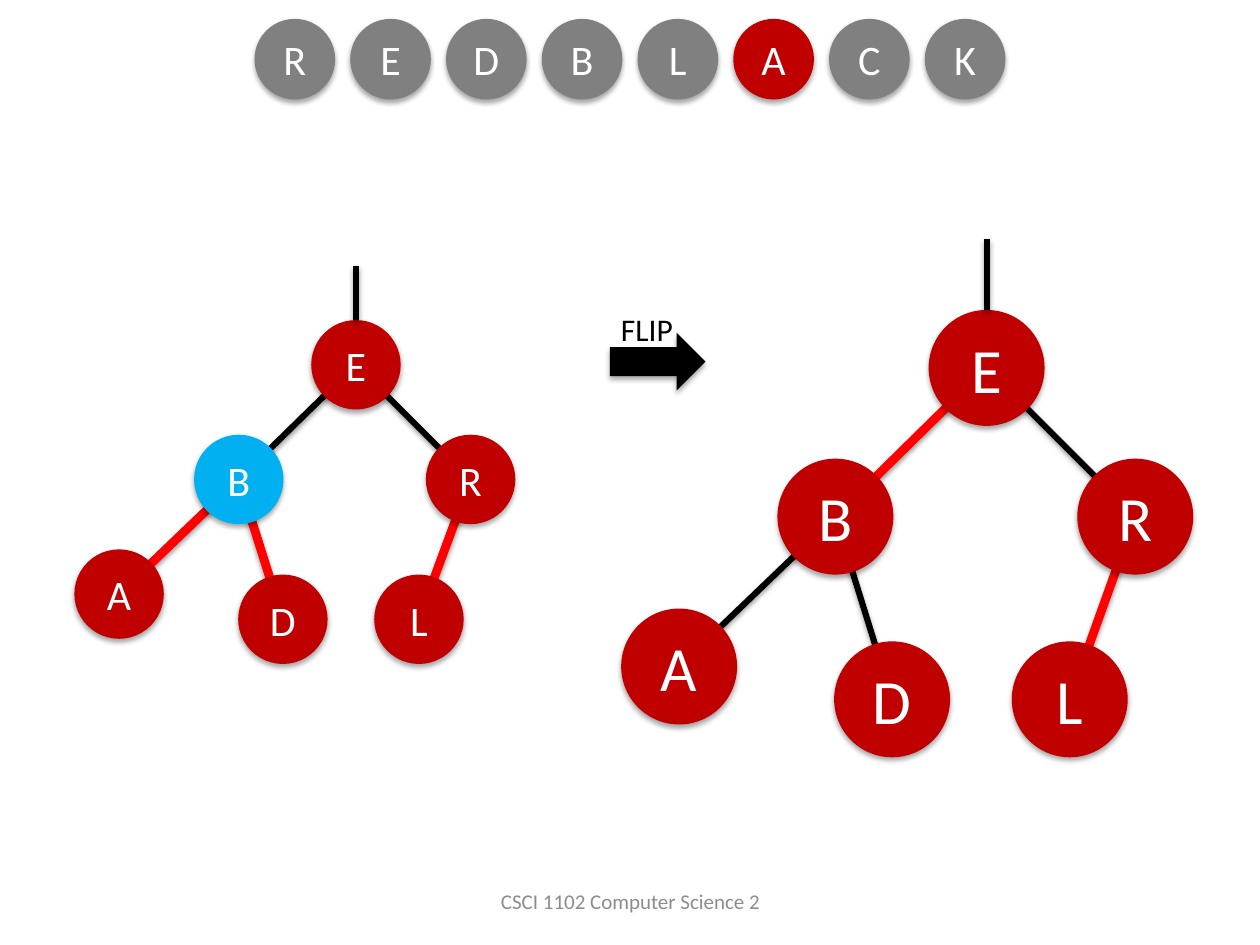
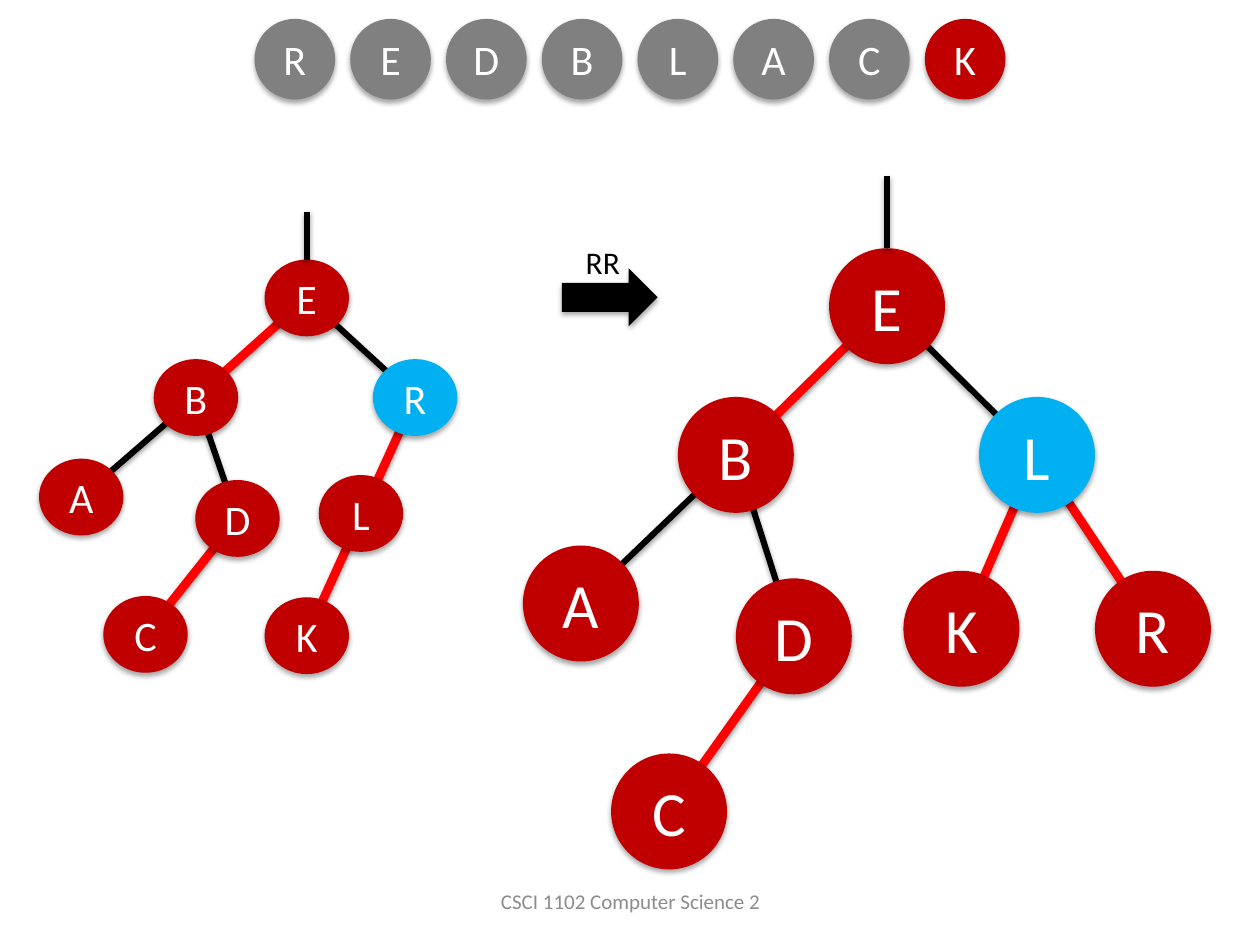
from lxml import etree
from pptx import Presentation
from pptx.dml.color import RGBColor
from pptx.enum.shapes import MSO_CONNECTOR, MSO_SHAPE
from pptx.enum.text import MSO_ANCHOR, MSO_AUTO_SIZE, PP_ALIGN
from pptx.oxml.ns import qn
from pptx.util import Inches, Pt

STRAIGHT = MSO_CONNECTOR.STRAIGHT
ELLIPSE, RIGHT_ARROW = MSO_SHAPE.OVAL, MSO_SHAPE.RIGHT_ARROW
MIDDLE, FIT_SHAPE = MSO_ANCHOR.MIDDLE, MSO_AUTO_SIZE.SHAPE_TO_FIT_TEXT
LEFT, CENTER = PP_ALIGN.LEFT, PP_ALIGN.CENTER
TOP_SITE = 0

FONT = "Calibri"
WHITE, BLACK, GRAY, FOOTER_GRAY = "FFFFFF", "000000", "808080", "8C8C8C"
NODE_RED, LINK_RED, BLUE = "C00000", "FF0000", "00B0F0"
LETTERS = "REDBLACK"

# Nodes give the left and top of each circle; links name parent and child.
SLIDES = [
    {
        "inserted": "A",
        "step": ("FLIP", (4.83, 2.41, 0.62, 0.4), (4.84, 2.64)),
        "trees": [
            {
                "nodes": {"A": (0.59, 4.36), "E": (2.47, 2.54), "B": (1.54, 3.45),
                          "R": (3.38, 3.45), "L": (2.97, 4.56), "D": (1.89, 4.56)},
                "red_links": ["BD", "RL", "BA"], "black_links": ["ER", "EB"],
                "size": (0.71, 0.71), "stem": 0.43, "font_size": 24, "active": "B",
            },
            {
                "nodes": {"A": (4.93, 4.83), "E": (7.37, 2.46), "B": (6.17, 3.64),
                          "R": (8.55, 3.64), "L": (8.03, 5.09), "D": (6.62, 5.09)},
                "red_links": ["RL", "EB"], "black_links": ["BD", "BA", "ER"],
                "size": (0.92, 0.92), "stem": 0.56, "font_size": 36, "active": None,
            },
        ],
    },
    {
        "inserted": "K",
        "step": ("RR", (4.55, 1.88, 0.48, 0.4), (4.46, 2.13)),
        "trees": [
            {
                "nodes": {"C": (4.85, 5.98), "R": (8.69, 4.53), "A": (4.15, 4.33),
                          "E": (6.58, 1.97), "B": (5.38, 3.15), "L": (7.77, 3.15),
                          "K": (7.17, 4.53), "D": (5.84, 4.59)},
                "red_links": ["LR", "LK", "DC", "EB"], "black_links": ["BD", "BA", "EL"],
                "size": (0.92, 0.92), "stem": 0.57, "font_size": 36, "active": "L",
            },
            {
                # The link from R to K runs behind L.
                "nodes": {"C": (0.82, 4.73), "K": (2.1, 4.74), "A": (0.31, 3.64),
                          "E": (2.1, 2.06), "B": (1.22, 2.85), "R": (2.96, 2.85),
                          "L": (2.53, 3.77), "D": (1.55, 3.81)},
                "red_links": ["RK", "DC", "EB"], "black_links": ["BD", "BA", "ER"],
                "size": (0.67, 0.61), "stem": 0.38, "font_size": 24, "active": "R",
            },
        ],
    },
]


def color(hex_string):
    return RGBColor.from_string(hex_string)


def write(shape, text, size, ink, align=CENTER):
    para = shape.text_frame.paragraphs[0]
    para.alignment = align
    span = para.add_run()
    span.text = text
    span.font.name, span.font.size = FONT, Pt(size)
    span.font.color.rgb = color(ink)


def add_shadow(shape, distance, opacity):
    """Replace the theme shadow by a soft one that falls straight down."""
    effects = etree.SubElement(shape._element.spPr, qn("a:effectLst"))
    shadow = etree.SubElement(effects, qn("a:outerShdw"), blurRad=str(Pt(3.1)),
                              dist=str(Pt(distance)), dir="5400000", rotWithShape="0")
    ink = etree.SubElement(shadow, qn("a:srgbClr"), val=BLACK)
    etree.SubElement(ink, qn("a:alpha"), val=str(opacity * 1000))


class TreeDeck:
    def __init__(self):
        self.deck = Presentation()
        self.deck.slide_width, self.deck.slide_height = Inches(10), Inches(7.5)
        self.page = None

    def new_page(self):
        self.page = self.deck.slides.add_slide(self.deck.slide_layouts[6])
        footer = self.text_box((3.42, 6.95, 3.17, 0.4), "CSCI 1102 Computer Science 2",
                               size=12, ink=FOOTER_GRAY)
        footer.text_frame.word_wrap = True
        footer.text_frame.vertical_anchor = MIDDLE

    def text_box(self, place, text, **style):
        box = self.page.shapes.add_textbox(*map(Inches, place))
        write(box, text, **style)
        return box

    def solid(self, shapes, kind, place, fill):
        shape = shapes.add_shape(kind, *map(Inches, place))
        shape.fill.solid()
        shape.fill.fore_color.rgb = color(fill)
        shape.line.fill.background()
        add_shadow(shape, 1.8, 35)
        return shape

    def node(self, shapes, letter, place, fill, size):
        circle = self.solid(shapes, ELLIPSE, place, fill)
        circle.text_frame.word_wrap = True
        circle.text_frame.vertical_anchor = MIDDLE
        write(circle, letter, size, WHITE)
        return circle

    def link(self, shapes, start, end, ink=BLACK, width=3.5):
        line = shapes.add_connector(STRAIGHT, *map(Inches, (*start, *end)))
        line.line.color.rgb = color(ink)
        line.line.width = Pt(width)
        add_shadow(line, 1.6, 38)
        return line

    def letter_row(self, inserted):
        shapes = self.page.shapes.add_group_shape().shapes
        for index, letter in enumerate(LETTERS):
            fill = NODE_RED if letter == inserted else GRAY
            self.node(shapes, letter, (2.02 + 0.76 * index, 0.15, 0.64, 0.64), fill, 24)

    def tree(self, nodes, red_links, black_links, size, stem, font_size, active):
        shapes = self.page.shapes.add_group_shape().shapes
        width, height = size
        centers = {letter: (left + width / 2, top + height / 2)
                   for letter, (left, top) in nodes.items()}
        for links, ink, weight in ((red_links, LINK_RED, 5), (black_links, BLACK, 3.5)):
            for parent, child in links:
                self.link(shapes, centers[parent], centers[child], ink, weight)
        circles = {}
        for letter, corner in nodes.items():
            fill = BLUE if letter == active else NODE_RED
            circles[letter] = self.node(shapes, letter, (*corner, *size), fill, font_size)
        root_x, root_top = centers["E"][0], nodes["E"][1]
        root_stem = self.link(shapes, (root_x, root_top - stem), (root_x, root_top))
        root_stem.end_connect(circles["E"], TOP_SITE)

    def step_arrow(self, label, label_place, arrow_corner):
        self.solid(self.page.shapes, RIGHT_ARROW, (*arrow_corner, 0.76, 0.46), BLACK)
        box = self.text_box(label_place, label, size=18, ink=BLACK, align=LEFT)
        box.text_frame.word_wrap = False
        box.text_frame.auto_size = FIT_SHAPE


def main():
    builder = TreeDeck()
    for content in SLIDES:
        builder.new_page()
        for tree in content["trees"]:
            builder.tree(**tree)
        builder.letter_row(content["inserted"])
        builder.step_arrow(*content["step"])
    builder.deck.save("out.pptx")


if __name__ == "__main__":
    main()
